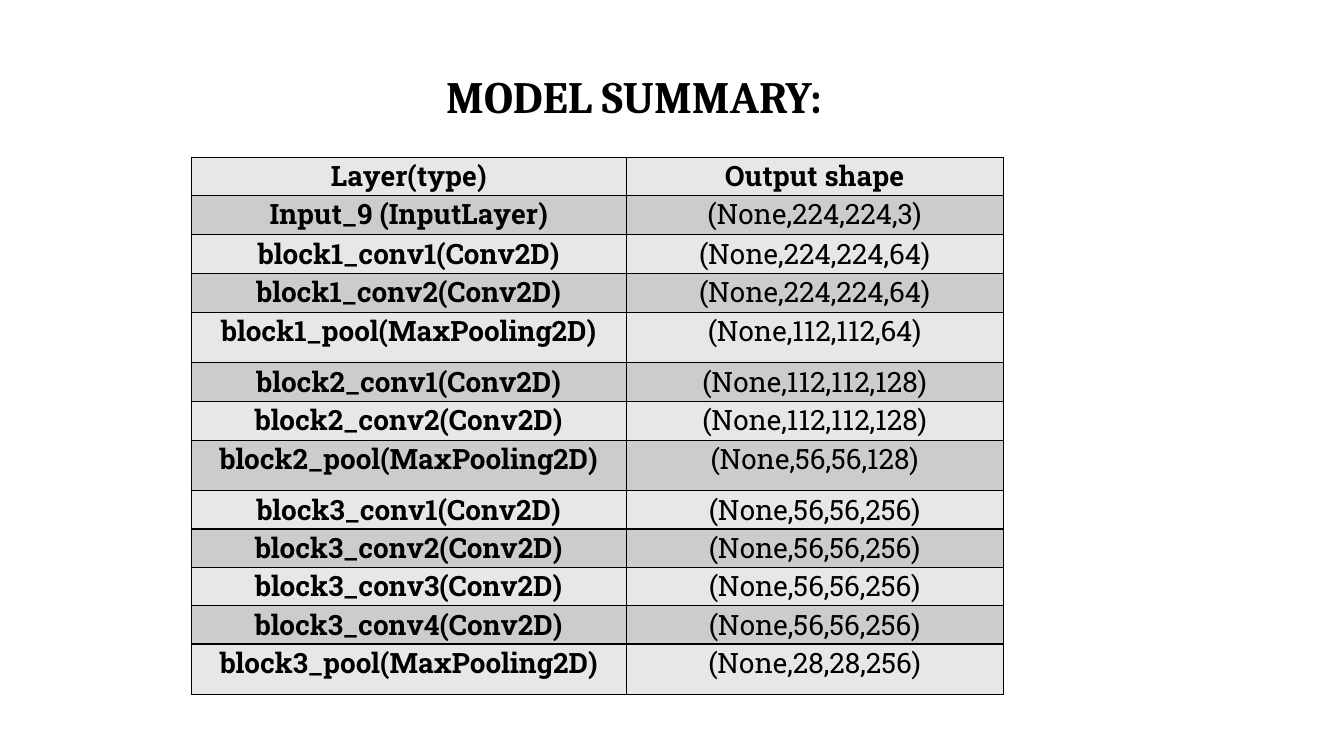
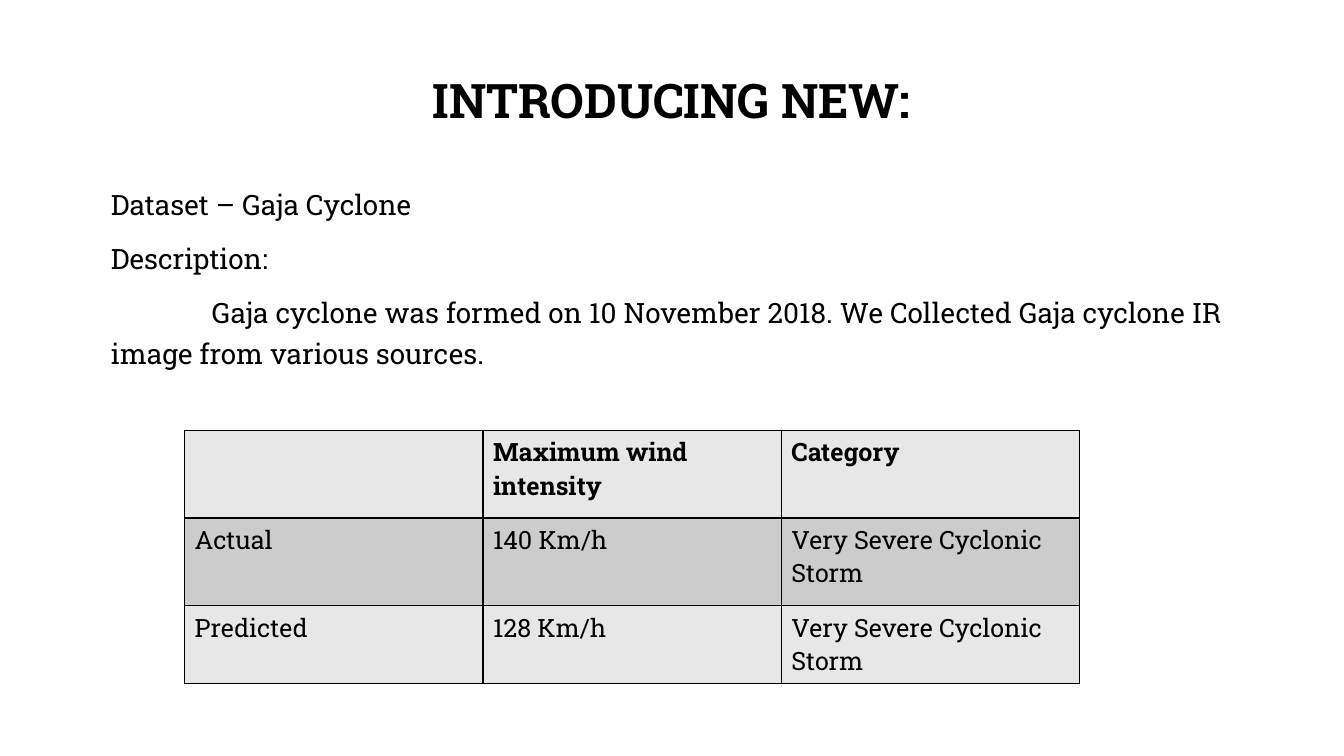
"""Build two slides on a cyclone model: its layer summary and its new dataset."""
from dataclasses import dataclass

from lxml import etree
from pptx import Presentation
from pptx.dml.color import RGBColor
from pptx.enum.text import MSO_ANCHOR, MSO_AUTO_SIZE, PP_ALIGN
from pptx.oxml.ns import qn
from pptx.util import Inches, Pt


@dataclass(frozen=True)
class Theme:
    ink: str = "000000"
    bands: tuple = ("E7E7E7", "CCCCCC")
    text_font: str = "Roboto Slab"
    summary_font: str = "Cambria"
    summary_title: int = 32
    dataset_title: int = 34
    body: int = 20
    layers: int = 20
    results: int = 18
    border: int = 1


THEME = Theme()
TITLE_ONLY, TITLE_AND_BODY = 5, 1

SUMMARY_TITLE = "MODEL SUMMARY:"
LAYERS = [
    ("Layer(type)", "Output shape"),
    ("Input_9 (InputLayer)", "(None,224,224,3)"),
    ("block1_conv1(Conv2D)", "(None,224,224,64)"),
    ("block1_conv2(Conv2D)", "(None,224,224,64)"),
    ("block1_pool(MaxPooling2D)", "(None,112,112,64)"),
    ("block2_conv1(Conv2D)", "(None,112,112,128)"),
    ("block2_conv2(Conv2D)", "(None,112,112,128)"),
    ("block2_pool(MaxPooling2D)", "(None,56,56,128)"),
    ("block3_conv1(Conv2D)", "(None,56,56,256)"),
    ("block3_conv2(Conv2D)", "(None,56,56,256)"),
    ("block3_conv3(Conv2D)", "(None,56,56,256)"),
    ("block3_conv4(Conv2D)", "(None,56,56,256)"),
    ("block3_pool(MaxPooling2D)", "(None,28,28,256)"),
]
LAYER_HEIGHTS = [0.38, 0.39, 0.38, 0.39, 0.5, 0.38, 0.39, 0.5] + [0.38] * 4 + [0.5]

DATASET_TITLE = "INTRODUCING NEW:"
DESCRIPTION = [
    ("Dataset – Gaja Cyclone", 0),
    ("Description:", 0),
    ("Gaja cyclone was formed on 10 November 2018. We Collected Gaja cyclone IR "
     "image from various sources.", 1),
]
RESULTS = [
    ("", "Maximum wind intensity", "Category"),
    ("Actual", "140 Km/h", "Very Severe Cyclonic Storm"),
    ("Predicted", "128 Km/h", "Very Severe Cyclonic Storm"),
]
RESULT_HEIGHTS = [0.87, 0.87, 0.77]


def add_text(paragraph, text, size, font=THEME.text_font, bold=False):
    run = paragraph.add_run()
    run.text = text
    run.font.size = Pt(size)
    run.font.name = font
    run.font.bold = bold
    run.font.color.rgb = RGBColor.from_string(THEME.ink)


def place(shape, box):
    shape.left, shape.top, shape.width, shape.height = map(Inches, box)
    shape.text_frame.auto_size = MSO_AUTO_SIZE.NONE
    shape.text_frame.word_wrap = True


def set_title(slide, text, box, size, font):
    title = slide.shapes.title
    place(title, box)
    title.text_frame.vertical_anchor = MSO_ANCHOR.MIDDLE
    paragraph = title.text_frame.paragraphs[0]
    paragraph.alignment = PP_ALIGN.CENTER
    paragraph.line_spacing = 0.9
    add_text(paragraph, text, size, font, bold=True)


def set_description(slide, lines, box):
    body = slide.placeholders[1]
    place(body, box)
    body.text_frame.vertical_anchor = MSO_ANCHOR.TOP
    for index, (text, indent) in enumerate(lines):
        frame = body.text_frame
        paragraph = frame.add_paragraph() if index else frame.paragraphs[0]
        paragraph.line_spacing = 1.2
        paragraph.space_before = Pt(10)
        properties = paragraph._p.get_or_add_pPr()
        properties.set("marL", "0")
        properties.set("indent", str(Inches(indent)))
        etree.SubElement(properties, qn("a:buNone"))
        add_text(paragraph, text, THEME.body)


def set_borders(cell):
    properties = cell._tc.get_or_add_tcPr()
    for index, side in enumerate(("lnL", "lnR", "lnT", "lnB")):
        line = etree.Element(qn(f"a:{side}"), w=str(Pt(THEME.border)))
        fill = etree.SubElement(line, qn("a:solidFill"))
        etree.SubElement(fill, qn("a:srgbClr"), val=THEME.ink)
        properties.insert(index, line)


def add_banded_table(slide, rows, origin, widths, heights, size,
                     align=PP_ALIGN.LEFT, bold_first_column=False, margins=None):
    left, top = origin
    extent = (left, top, sum(widths), sum(heights))
    table = slide.shapes.add_table(len(rows), len(widths), *map(Inches, extent)).table
    table.first_row = table.horz_banding = False
    for column, width in zip(table.columns, widths):
        column.width = Inches(width)
    for r, (texts, height) in enumerate(zip(rows, heights)):
        table.rows[r].height = Inches(height)
        for c, text in enumerate(texts):
            cell = table.cell(r, c)
            cell.fill.solid()
            cell.fill.fore_color.rgb = RGBColor.from_string(THEME.bands[r % 2])
            set_borders(cell)
            if margins:
                side, edge = map(Inches, margins)
                cell.margin_left = cell.margin_right = side
                cell.margin_top = cell.margin_bottom = edge
            paragraph = cell.text_frame.paragraphs[0]
            paragraph.alignment = align
            if text:
                bold = r == 0 or (bold_first_column and c == 0)
                add_text(paragraph, text, size, bold=bold)


def build_summary(deck):
    slide = deck.slides.add_slide(deck.slide_layouts[TITLE_ONLY])
    set_title(slide, SUMMARY_TITLE, (0.75, 0.67, 11.08, 0.62),
              THEME.summary_title, THEME.summary_font)
    add_banded_table(slide, LAYERS, (1.9, 1.56), (4.31, 3.74), LAYER_HEIGHTS,
                     THEME.layers, PP_ALIGN.CENTER, bold_first_column=True,
                     margins=(0.04, 0))


def build_dataset(deck):
    slide = deck.slides.add_slide(deck.slide_layouts[TITLE_AND_BODY])
    set_title(slide, DATASET_TITLE, (1, 0.67, 11.32, 0.7),
              THEME.dataset_title, THEME.text_font)
    set_description(slide, DESCRIPTION, (1, 1.74, 11.32, 2.04))
    add_banded_table(slide, RESULTS, (1.83, 4.27), [2.96] * 3, RESULT_HEIGHTS,
                     THEME.results)


def main():
    deck = Presentation()
    deck.slide_width, deck.slide_height = Inches(13.33), Inches(7.5)
    build_summary(deck)
    build_dataset(deck)
    deck.save("out.pptx")


if __name__ == "__main__":
    main()
